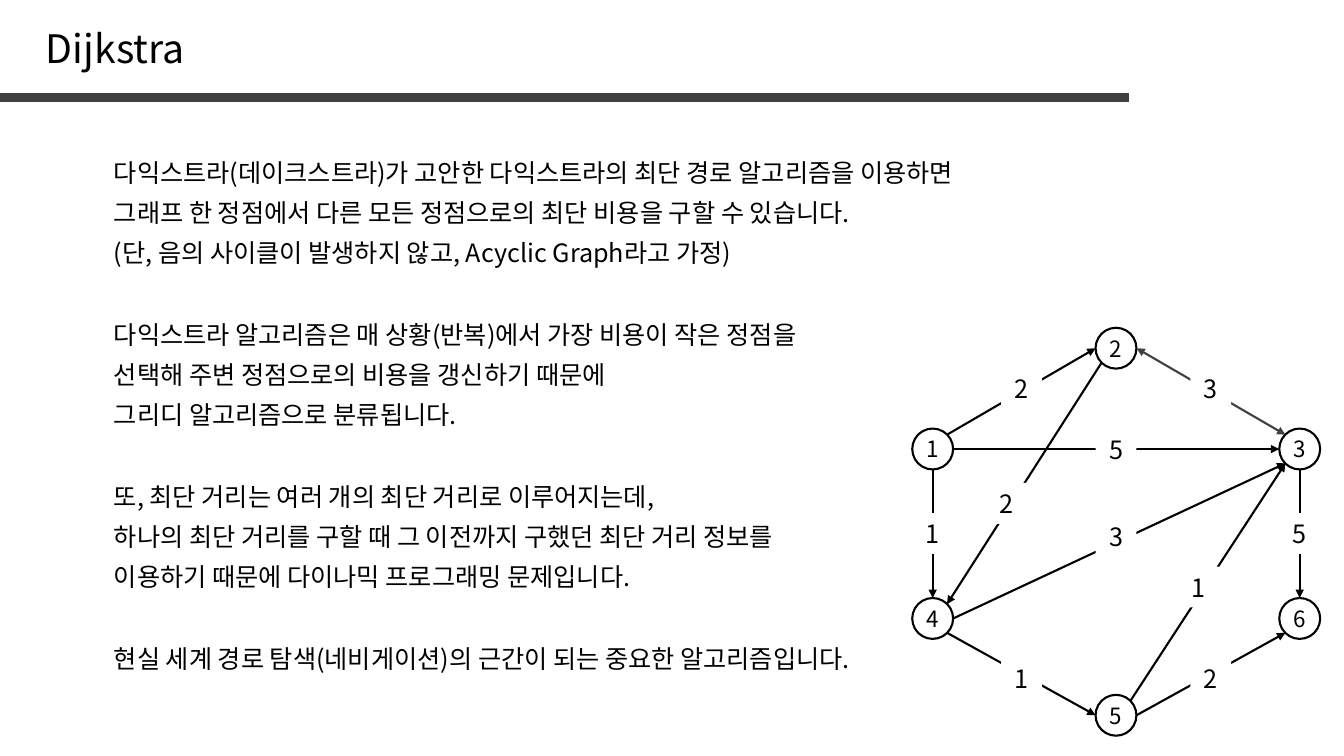
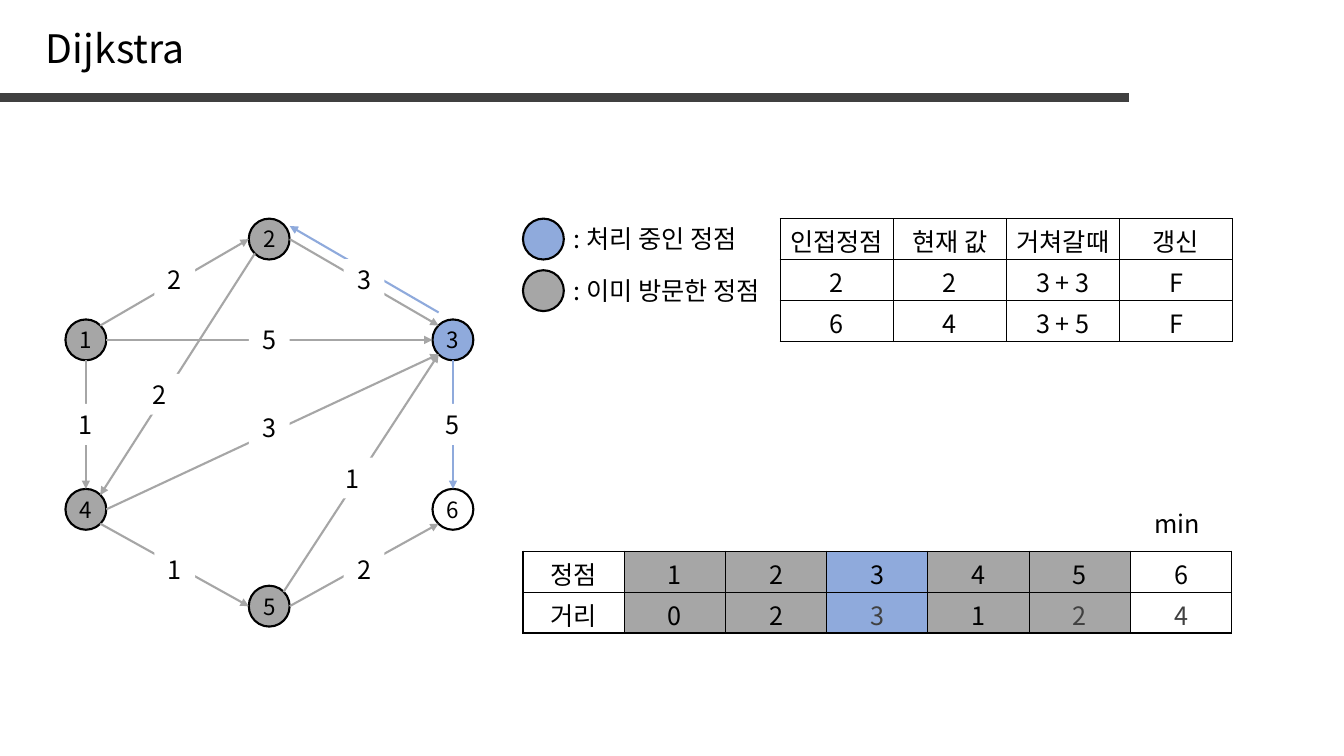
from lxml.etree import SubElement
from pptx import Presentation
from pptx.dml.color import RGBColor
from pptx.enum.shapes import MSO_CONNECTOR as Line, MSO_SHAPE as Shape
from pptx.enum.text import MSO_ANCHOR as Anchor, PP_ALIGN as Align
from pptx.oxml.ns import qn
from pptx.util import Cm, Pt

FONT = "Noto Sans CJK KR"
BLACK, WHITE, DARK = "000000", "FFFFFF", "404040"
VISITED, CURRENT = "A6A6A6", "8FAADC"

NODE_SIZE = 1.03
ROW_HEIGHT = 1.03
LINE_HEIGHT = 1.02

# Vertex -> left and top inside the graph box
NODES = {1: (0, 2.54), 2: (4.62, 0), 3: (9.25, 2.54),
         4: (0, 6.81), 5: (4.62, 9.25), 6: (9.25, 6.81)}

# Point on a vertex as a fraction of its size
SITES = {"top": (0.5, 0), "bottom": (0.5, 1), "left": (0, 0.5), "right": (1, 0.5),
         "top left": (0.15, 0.15), "top right": (0.85, 0.15),
         "bottom left": (0.15, 0.85), "bottom right": (0.85, 0.85)}

# (from, to) -> site at from, site at to, weight, left and top of the weight
EDGES = {
    (1, 2): ("top right", "left", 2, 2.24, 1.02),
    (1, 3): ("right", "left", 5, 4.62, 2.54),
    (1, 4): ("bottom", "top", 1, 0, 4.67),
    (2, 3): ("right", "top left", 3, 7.01, 1.02),
    (2, 4): ("bottom left", "top right", 2, 1.85, 3.91),
    (4, 3): ("right", "bottom left", 3, 4.62, 4.75),
    (4, 5): ("bottom right", "left", 1, 2.24, 8.33),
    (5, 3): ("top right", "bottom left", 1, 6.71, 6.02),
    (5, 6): ("right", "bottom left", 2, 7.01, 8.33),
    (3, 6): ("bottom", "top", 5, 9.25, 4.67),
}
TWO_WAY = (2, 3)
RETURN_GAP = 0.33

EXPLANATION = [
    ["다익스트라(데이크스트라)가 고안한 다익스트라의 최단 경로 알고리즘을 이용하면",
     "그래프 한 정점에서 다른 모든 정점으로의 최단 비용을 구할 수 있습니다.",
     "(단, 음의 사이클이 발생하지 않고, Acyclic Graph라고 가정)"],
    ["다익스트라 알고리즘은 매 상황(반복)에서 가장 비용이 작은 정점을",
     "선택해 주변 정점으로의 비용을 갱신하기 때문에",
     "그리디 알고리즘으로 분류됩니다."],
    ["또, 최단 거리는 여러 개의 최단 거리로 이루어지는데,",
     "하나의 최단 거리를 구할 때 그 이전까지 구했던 최단 거리 정보를",
     "이용하기 때문에 다이나믹 프로그래밍 문제입니다."],
    ["현실 세계 경로 탐색(네비게이션)의 근간이 되는 중요한 알고리즘입니다."],
]


def rgb(value):
    """Turn a hex string into a colour."""
    return RGBColor.from_string(value)


def style(paragraph, size=18, colour=BLACK, align=Align.CENTER):
    """Set alignment and the Latin and East Asian font of a paragraph."""
    paragraph.alignment = align
    font = paragraph.font
    font.size, font.name = Pt(size), FONT
    font.color.rgb = rgb(colour)
    defaults = paragraph._p.pPr.find(qn("a:defRPr"))
    SubElement(defaults, qn("a:ea"), typeface=FONT)


def prepare(frame, pad=0, anchor=Anchor.MIDDLE):
    """Wrap a text frame and leave only a left margin."""
    frame.word_wrap = True
    frame.vertical_anchor = anchor
    frame.margin_left = Cm(pad)
    frame.margin_right = frame.margin_top = frame.margin_bottom = 0
    return frame


def add_text(slide, text, left, top, width, height=LINE_HEIGHT, size=18,
             align=Align.LEFT, pad=0.25):
    """Add one line of text."""
    box = slide.shapes.add_textbox(Cm(left), Cm(top), Cm(width), Cm(height))
    line = prepare(box.text_frame, pad).paragraphs[0]
    line.text = text
    style(line, size, align=align)


def add_mark(slide, kind, left, top, text="", fill=None, outline=None, size=18):
    """Add a vertex circle or the plate behind a weight."""
    mark = slide.shapes.add_shape(kind, Cm(left), Cm(top), Cm(NODE_SIZE), Cm(NODE_SIZE))
    mark.shadow.inherit = False
    if fill:
        mark.fill.solid()
        mark.fill.fore_color.rgb = rgb(fill)
    else:
        mark.fill.background()
    if outline:
        mark.line.color.rgb = rgb(outline)
        mark.line.width = Pt(1.5)
    else:
        mark.line.fill.background()
    if text:
        label = prepare(mark.text_frame).paragraphs[0]
        label.text = text
        style(label, size)


def add_line(slide, start, end, colour, width=1.5, arrows=()):
    """Add a straight line with arrowheads at the named ends."""
    line = slide.shapes.add_connector(Line.STRAIGHT, *map(Cm, start + end))
    line.line.color.rgb = rgb(colour)
    line.line.width = Pt(width)
    for arrow in arrows:
        SubElement(line.line._get_or_add_ln(), qn(f"a:{arrow}"), type="triangle")
    SubElement(line._element.spPr, qn("a:effectLst"))


def add_header(slide, title):
    """Add the title and the rule below it."""
    add_line(slide, (0, 2.46), (28.45, 2.46), DARK, width=6)
    add_text(slide, title, 0.91, 0.48, 4.14, 1.45, size=28)


def add_explanation(slide, blocks, left, top, width, height):
    """Add blocks of lines with a gap between blocks."""
    box = slide.shapes.add_textbox(Cm(left), Cm(top), Cm(width), Cm(height))
    frame = prepare(box.text_frame, 0.25, Anchor.TOP)
    for block_index, block in enumerate(blocks):
        for line_index, text in enumerate(block):
            first = block_index == line_index == 0
            line = frame.paragraphs[0] if first else frame.add_paragraph()
            line.text = text
            line.line_spacing = Pt(28.6)
            line.space_before = Pt(30 if block_index and not line_index else 0)
            style(line, align=Align.LEFT)


def add_graph(slide, left, top, edge_colour, edge_colours, node_fills, return_colour=None):
    """Draw the graph; a return colour splits the two-way edge into two arrows."""
    def site(node, name):
        return tuple(origin + offset + NODE_SIZE * share for origin, offset, share
                     in zip((left, top), NODES[node], SITES[name]))

    for node, (x, y) in NODES.items():
        add_mark(slide, Shape.OVAL, left + x, top + y, str(node),
                 node_fills.get(node), BLACK, size=16)
    for edge, (from_site, to_site, *_) in EDGES.items():
        start, end = site(edge[0], from_site), site(edge[1], to_site)
        both = edge == TWO_WAY and not return_colour
        add_line(slide, start, end, edge_colours.get(edge, edge_colour),
                 arrows=("headEnd", "tailEnd") if both else ("tailEnd",))
        if edge == TWO_WAY and return_colour:
            add_line(slide, (end[0], end[1] - RETURN_GAP), (start[0], start[1] - RETURN_GAP),
                     return_colour, arrows=("tailEnd",))
    for _, _, weight, x, y in EDGES.values():
        add_mark(slide, Shape.RECTANGLE, left + x, top + y, str(weight), WHITE)


def add_legend(slide, entries, left, top, width):
    """List the vertex colours with their meanings."""
    for index, (fill, meaning) in enumerate(entries):
        y = top + 1.3 * index
        add_mark(slide, Shape.OVAL, left, y, fill=fill, outline=BLACK)
        add_text(slide, meaning, left + NODE_SIZE, y, width - NODE_SIZE)


def add_grid(slide, rows, left, top, width, column_fills=None, dark_cells=()):
    """Add a bordered table, with fills by column and some dark grey values."""
    column_fills = column_fills or {}
    table = slide.shapes.add_table(len(rows), len(rows[0]), Cm(left), Cm(top),
                                   Cm(width), Cm(ROW_HEIGHT * len(rows))).table
    table.first_row = table.horz_banding = False
    for column in table.columns:
        column.width = Cm(width / len(rows[0]))
    for r, values in enumerate(rows):
        table.rows[r].height = Cm(ROW_HEIGHT)
        for c, value in enumerate(values):
            cell = table.cell(r, c)
            cell.margin_left = cell.margin_right = cell.margin_bottom = 0
            cell.margin_top = Cm(0.1)
            for side in "LRTB":
                border = SubElement(cell._tc.get_or_add_tcPr(), qn(f"a:ln{side}"),
                                    w=str(Pt(1)))
                solid = SubElement(border, qn("a:solidFill"))
                SubElement(solid, qn("a:srgbClr"), val=BLACK)
            if c in column_fills:
                cell.fill.solid()
                cell.fill.fore_color.rgb = rgb(column_fills[c])
            else:
                cell.fill.background()
            entry = cell.text_frame.paragraphs[0]
            entry.text = value
            style(entry, colour=DARK if (r, c) in dark_cells else BLACK)


def build_intro(slide):
    """Explain the algorithm beside the weighted graph."""
    add_header(slide, "Dijkstra")
    add_explanation(slide, EXPLANATION, 2.62, 3.71, 28.45, 13.3)
    add_graph(slide, 22.99, 8.26, BLACK, {TWO_WAY: DARK}, {})


def build_step(slide):
    """Show the step that processes vertex 3."""
    fills = {node: VISITED for node in (1, 2, 4, 5)} | {3: CURRENT}
    add_header(slide, "Dijkstra")
    add_graph(slide, 1.65, 5.51, VISITED, {(3, 6): CURRENT}, fills, CURRENT)
    add_legend(slide, [(CURRENT, ": 처리 중인 정점"), (VISITED, ": 이미 방문한 정점")],
               13.18, 5.51, 6.48)
    add_grid(slide, [["인접정점", "현재 값", "거쳐갈때", "갱신"],
                     ["2", "2", "3 + 3", "F"],
                     ["6", "4", "3 + 5", "F"]], 19.66, 5.51, 11.4)
    add_text(slide, "min", 28.83, 12.67, 1.68, align=Align.CENTER, pad=0)
    add_grid(slide, [["정점", *"123456"], ["거리", *"023124"]], 13.18, 13.89, 17.86,
             fills, dark_cells={(1, 3), (1, 5), (1, 6)})


deck = Presentation()
deck.slide_width, deck.slide_height = Cm(33.87), Cm(19.05)
for build in (build_intro, build_step):
    build(deck.slides.add_slide(deck.slide_layouts[6]))
deck.save("out.pptx")
